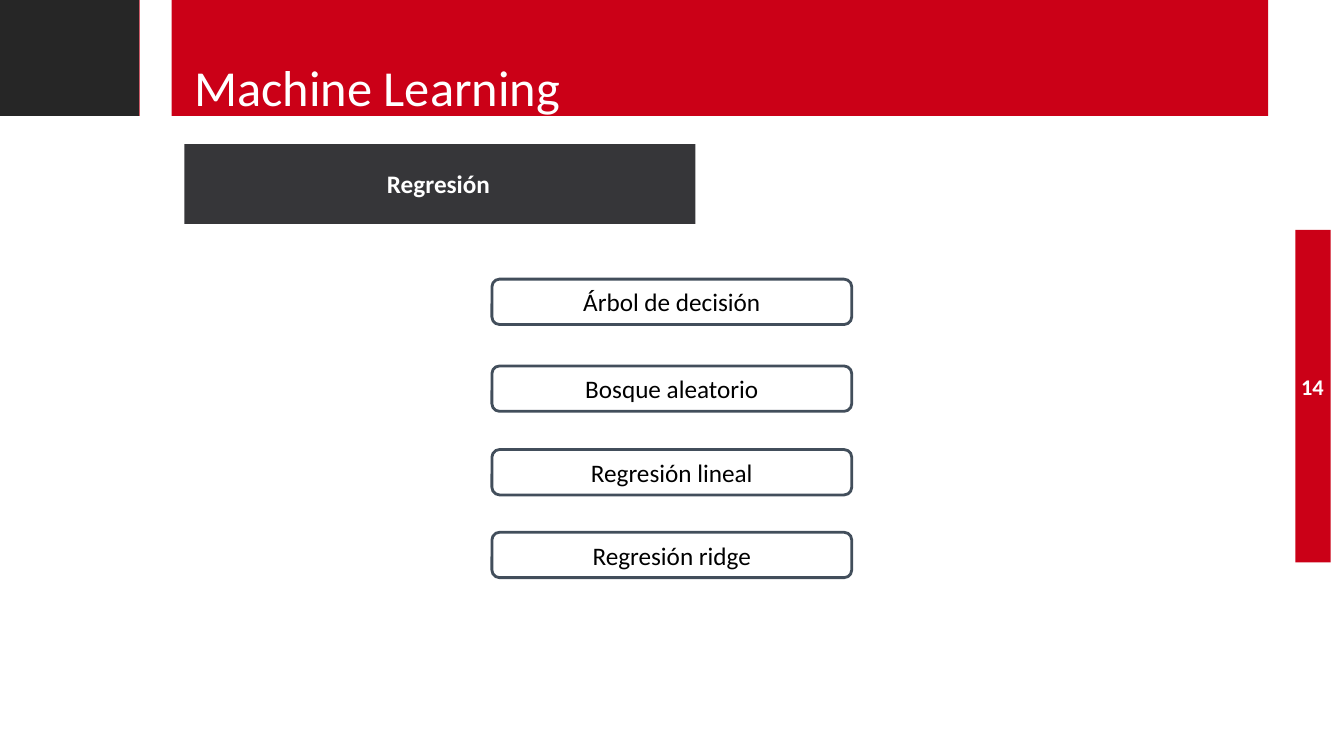
import dataclasses

import pptx
import pptx.dml.color
import pptx.enum.shapes
import pptx.enum.text
import pptx.util

Pt = pptx.util.Pt
RGB = pptx.dml.color.RGBColor.from_string
SHAPE = pptx.enum.shapes.MSO_SHAPE
ALIGN = pptx.enum.text.PP_ALIGN
ANCHOR = pptx.enum.text.MSO_ANCHOR


@dataclasses.dataclass(frozen=True)
class Theme:
    """Colours, font and type sizes of the slide."""

    red: str = "CB0017"
    dark: str = "262626"
    grey: str = "363639"
    outline: str = "424E5B"
    white: str = "FFFFFF"
    black: str = "000000"
    font: str = "Calibri"
    title: int = 36
    body: int = 18
    number: int = 16


THEME = Theme()


def set_format(target, values):
    """Set each attribute in values on target."""
    for name, value in values.items():
        setattr(target, name, value)


def write_text(sp, text, size, color, bold=False, anchor=ANCHOR.MIDDLE, **paragraph):
    """Write one formatted paragraph into a shape."""
    tf = sp.text_frame
    set_format(tf, {"word_wrap": True, "vertical_anchor": anchor})
    p = tf.paragraphs[0]
    set_format(p, {"alignment": ALIGN.CENTER, **paragraph})
    r = p.add_run()
    r.text = text
    set_format(r.font, {"name": THEME.font, "size": Pt(size), "bold": bold})
    r.font.color.rgb = RGB(color)


def add_block(s, box, fill, kind=SHAPE.RECTANGLE):
    """Add a filled shape without outline or shadow."""
    sp = s.shapes.add_shape(kind, *map(Pt, box))
    sp.shadow.inherit = False
    sp.fill.solid()
    sp.fill.fore_color.rgb = RGB(fill)
    sp.line.fill.background()
    return sp


def add_label(s, box, text, size, **style):
    """Add a white text box."""
    sp = s.shapes.add_textbox(*map(Pt, box))
    write_text(sp, text, size, THEME.white, **style)


def add_method(s, top, text):
    """Add an outlined rounded box naming a regression method."""
    sp = add_block(s, (351.4, top, 257, 32.4), THEME.white, SHAPE.ROUNDED_RECTANGLE)
    sp.line.color.rgb = RGB(THEME.outline)
    sp.line.width = Pt(2)
    write_text(sp, text, THEME.body, THEME.black)


def main():
    """Build the slide and save it."""
    prs = pptx.Presentation()
    set_format(prs, {"slide_width": Pt(960), "slide_height": Pt(540)})
    s = prs.slides.add_slide(prs.slide_layouts[6])

    for box, fill in (
        ((925.2, 164.2, 25.2, 237.6), THEME.red),
        ((131.8, 103, 365, 56.9), THEME.grey),
        ((75.6, 0, 830.2, 82.8), THEME.red),
        ((0, 0, 99.4, 82.8), THEME.dark),
        ((99.7, 0, 23, 82.8), THEME.white),
    ):
        add_block(s, box, fill)

    add_label(s, (910.8, 261.4, 53.3, 28.8), "14", THEME.number, bold=True)
    add_label(s, (137.5, 120.2, 351.4, 50.4), "Regresión", THEME.body, bold=True,
              anchor=ANCHOR.TOP, line_spacing=Pt(18.1))
    add_label(s, (131.8, 4.3, 746, 82.8), "Machine Learning", THEME.title,
              anchor=ANCHOR.BOTTOM, alignment=ALIGN.LEFT, line_spacing=Pt(36))

    for top, text in (
        (199.4, "Árbol de decisión"),
        (261.4, "Bosque aleatorio"),
        (321.1, "Regresión lineal"),
        (380.2, "Regresión ridge"),
    ):
        add_method(s, top, text)

    prs.save("out.pptx")


if __name__ == "__main__":
    main()
